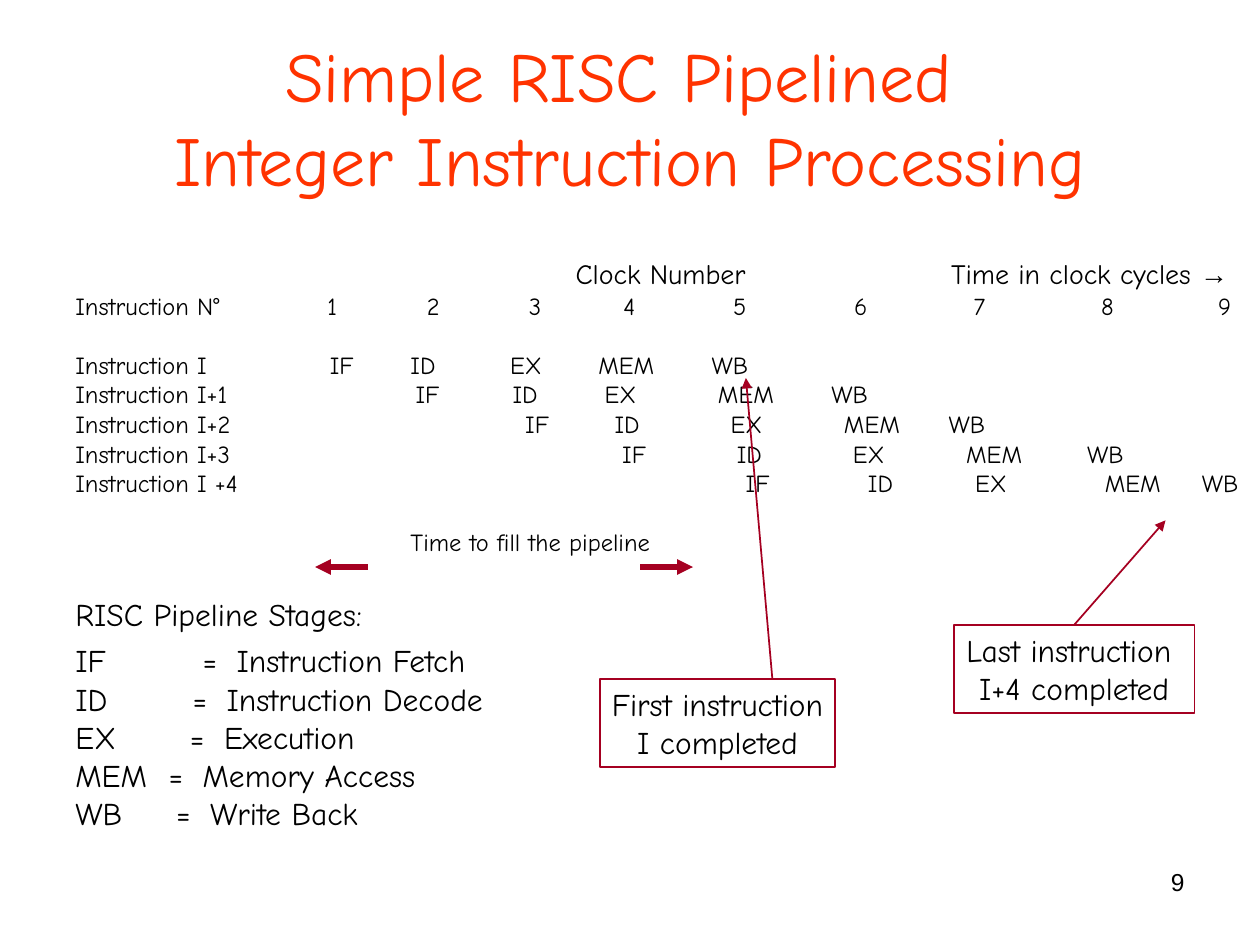
import dataclasses

import pptx
import pptx.dml.color
import pptx.enum.shapes
import pptx.enum.text
import pptx.oxml.ns
import pptx.util
from lxml import etree

ALIGN = pptx.enum.text.PP_ALIGN


@dataclasses.dataclass(frozen=True)
class Theme:
    title: str = "FF3300"
    ink: str = "000000"
    accent: str = "A50021"
    font: str = "Comic Neue"
    plain_font: str = "Arial"
    title_size: int = 40
    body_size: int = 18
    heading_size: int = 16
    small_size: int = 14
    tight: float = 0.8  # line spacing of schedule and legend


THEME = Theme()

# The slide is a grid of 100 columns and 75 rows
COLUMNS, ROWS = 100, 75
WIDTH, HEIGHT = pptx.util.Inches(10), pptx.util.Inches(7.5)

# Each row: label, cells, and the column of each cell from the text's left edge
STAGES = ["IF", "ID", "EX", "MEM", "WB"]
CYCLES = [str(cycle) for cycle in range(1, 10)]
CYCLE_STOPS = [20, 27.9, 36, 43.5, 52.2, 61.8, 71.3, 81.4, 90.7]
INSTRUCTIONS = [
    ("Instruction I", [20.2, 26.6, 34.5, 41.5, 50.5]),
    ("Instruction I+1", [27, 34.7, 42, 51, 60]),
    ("Instruction I+2", [35.7, 42.8, 52, 61, 69.3]),
    ("Instruction I+3", [43.4, 52.5, 61.7, 70.7, 80.3]),
    ("Instruction I +4", [53.2, 62.9, 71.4, 81.7, 89.4]),
]
MEANINGS = [
    ("Instruction Fetch", 10.1),
    ("Instruction Decode", 9.3),
    ("Execution", 9.1),
    ("Memory Access", 7.4),
    ("Write Back", 8),
]


def col(count):
    return round(WIDTH * count / COLUMNS)


def row(count):
    return round(HEIGHT * count / ROWS)


def place(box):
    left, top, width, height = box
    return col(left), row(top), col(width), row(height)


def write(paragraph, text, *, size=THEME.body_size, color=THEME.ink, font=THEME.font,
          bold=False, align=None, before=None, spacing=None, stops=()):
    """Add a run to the paragraph, with the paragraph settings that are given."""
    run = paragraph.add_run()
    run.text = text
    run.font.size = pptx.util.Pt(size)
    run.font.name = font
    run.font.bold = bold
    run.font.color.rgb = pptx.dml.color.RGBColor.from_string(color)
    if align is not None:
        paragraph.alignment = align
    if before is not None:
        paragraph.space_before = pptx.util.Pt(before)
    if spacing is not None:
        paragraph.line_spacing = spacing
    if stops:
        properties = paragraph._p.get_or_add_pPr()
        tab_list = etree.SubElement(properties, pptx.oxml.ns.qn("a:tabLst"))
        for stop in stops:
            etree.SubElement(tab_list, pptx.oxml.ns.qn("a:tab"), pos=str(col(stop)), algn="l")


def add_frame(slide, box):
    frame = slide.shapes.add_textbox(*place(box)).text_frame
    frame.word_wrap = True
    return frame


def add_title(slide, box):
    frame = add_frame(slide, box)
    frame.vertical_anchor = pptx.enum.text.MSO_ANCHOR.MIDDLE
    heading = frame.paragraphs[0]
    look = dict(size=THEME.title_size, color=THEME.title, align=ALIGN.CENTER)
    write(heading, "Simple RISC Pipelined ", **look)
    heading.add_line_break()
    write(heading, "Integer Instruction Processing", **look)


def add_schedule(slide, box):
    frame = add_frame(slide, box)
    near, far = 3.5, 20.4  # far leaves one row open

    # Headings above the cycles
    headings = frame.paragraphs[0]
    write(headings, "\tClock Number\tTime in clock cycles ", size=THEME.heading_size,
          spacing=THEME.tight, stops=[39.7, 69.5])
    write(headings, "→", size=THEME.heading_size, font=THEME.plain_font, bold=True)

    # Cycle numbers, instructions and the caption of the filling time
    lines = [("Instruction N°", CYCLES, CYCLE_STOPS, near)]
    for index, (label, stops) in enumerate(INSTRUCTIONS):
        lines.append((label, STAGES, stops, near if index else far))
    lines.append(("", ["Time to fill the pipeline"], [26.6], far))
    for label, cells, stops, before in lines:
        write(frame.add_paragraph(), "\t".join([label, *cells]), size=THEME.small_size,
              before=before, spacing=THEME.tight, stops=stops)


def add_legend(slide, box):
    frame = add_frame(slide, box)
    write(frame.paragraphs[0], "RISC Pipeline Stages:", spacing=THEME.tight)
    for index, (stage, (meaning, stop)) in enumerate(zip(STAGES, MEANINGS)):
        write(frame.add_paragraph(), f"{stage}\t=\t{meaning}", before=4.5 if index else 9.3,
              spacing=THEME.tight, stops=[stop, stop + 2.7])


def add_arrow(slide, start, end, weight):
    arrow = slide.shapes.add_connector(
        pptx.enum.shapes.MSO_CONNECTOR.STRAIGHT,
        col(start[0]), row(start[1]), col(end[0]), row(end[1]))
    arrow.line.color.rgb = pptx.dml.color.RGBColor.from_string(THEME.accent)
    arrow.line.width = pptx.util.Pt(weight)
    etree.SubElement(arrow.line._get_or_add_ln(), pptx.oxml.ns.qn("a:tailEnd"), type="triangle")
    etree.SubElement(arrow._element.spPr, pptx.oxml.ns.qn("a:effectLst"))
    return arrow


def add_fill_span(slide, box):
    """Two arrows that point outwards from under the caption."""
    left, top, width, _ = box
    length = 4.2
    for edge, inward in ((left, length), (left + width, -length)):
        add_arrow(slide, (edge + inward, top), (edge, top), 3)


def add_callout(slide, box, lines):
    callout = slide.shapes.add_shape(pptx.enum.shapes.MSO_SHAPE.RECTANGLE, *place(box))
    callout.shadow.inherit = False
    callout.fill.background()
    callout.line.color.rgb = pptx.dml.color.RGBColor.from_string(THEME.accent)
    callout.line.width = pptx.util.Pt(1)
    frame = callout.text_frame
    frame.word_wrap = False
    for index, line in enumerate(lines):
        paragraph = frame.add_paragraph() if index else frame.paragraphs[0]
        write(paragraph, line, align=ALIGN.CENTER)
    return callout


def add_page_number(slide, box):
    write(add_frame(slide, box).paragraphs[0], "9", size=THEME.small_size,
          font=THEME.plain_font, align=ALIGN.RIGHT)


def main():
    deck = pptx.Presentation()
    deck.slide_width, deck.slide_height = WIDTH, HEIGHT
    slide = deck.slides.add_slide(deck.slide_layouts[6])

    add_title(slide, (5, 3, 90, 12.5))
    add_page_number(slide, (71.7, 68.3, 23.3, 5.2))
    add_schedule(slide, (5, 20.4, 95, 24.5))
    add_legend(slide, (5, 47.3, 40, 19.7))
    add_fill_span(slide, (25, 45, 30, 0))

    # Callouts with their pointers
    add_callout(slide, (47.6, 53.9, 18.7, 7), ["First instruction", "I completed"])
    last = add_callout(slide, (75.7, 49.6, 19.1, 7), ["Last instruction ", "I+4 completed"])
    add_arrow(slide, (61.3, 53.9), (59.2, 30), 1)
    add_arrow(slide, (85.25, 49.6), (92.5, 41.3), 1).begin_connect(last, 0)

    deck.save("out.pptx")


if __name__ == "__main__":
    main()
